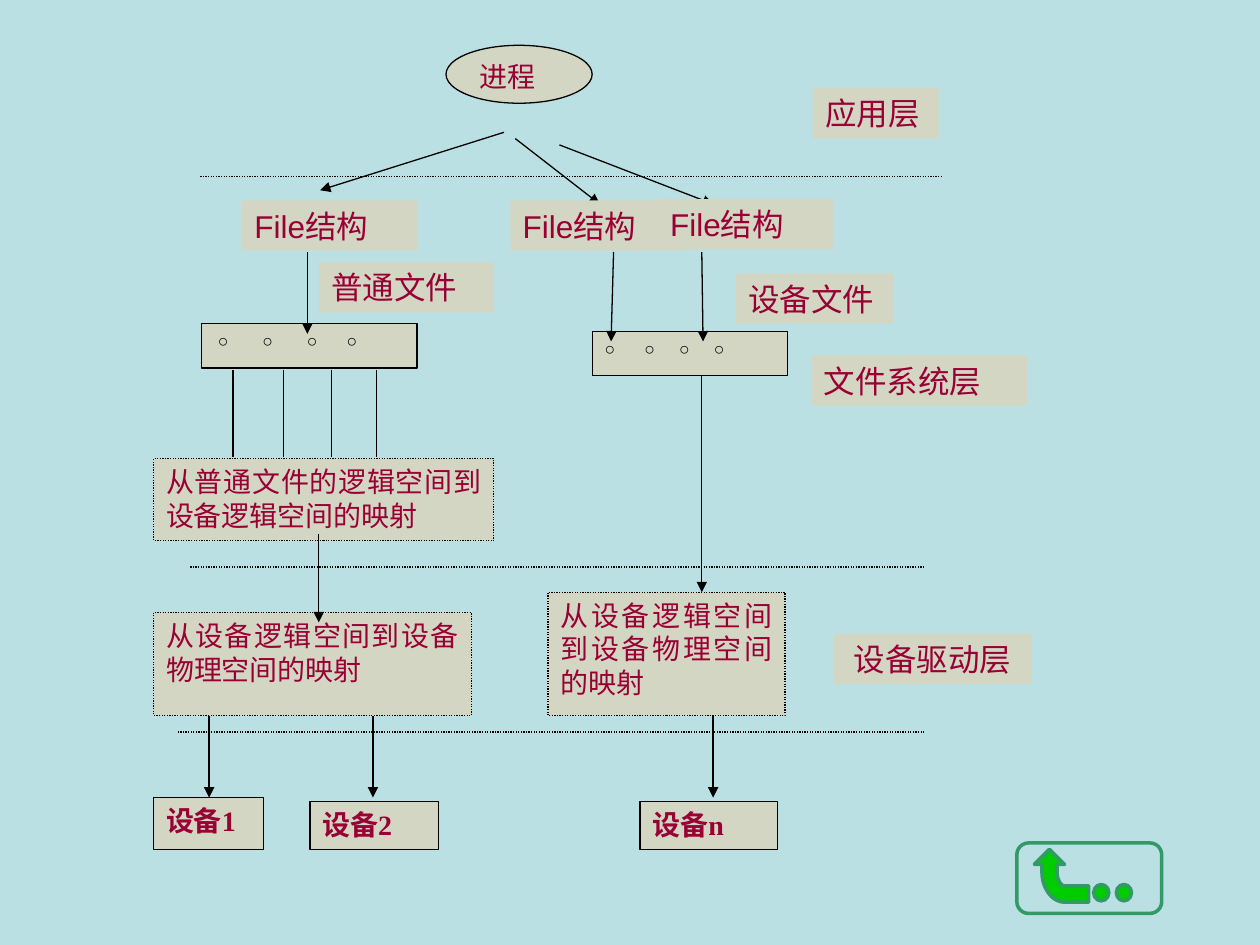
from lxml.etree import SubElement
from pptx import Presentation
from pptx.dml.color import RGBColor
from pptx.enum.dml import MSO_LINE
from pptx.enum.shapes import MSO_CONNECTOR, MSO_SHAPE
from pptx.enum.text import MSO_ANCHOR, PP_ALIGN
from pptx.oxml.ns import qn
from pptx.util import Inches, Pt

BACKGROUND, PANEL, INK, BLACK = "BBE0E3", "D4D6C4", "990033", "000000"
GREEN, EDGE = "00CC00", "339966"
CJK, SANS, SERIF = "Noto Sans CJK SC", "Arial", "Times New Roman"

DIVIDERS = [(1.59, 1.4, 7.48, 1.4), (1.51, 4.5, 7.34, 4.5), (1.41, 5.81, 7.34, 5.81)]
PROCESS_ARROWS = [(4, 1.05, 2.54, 1.51), (4.09, 1.1, 4.76, 1.62), (4.44, 1.15, 5.66, 1.62)]
INODE_TABLES = [
    ((1.6, 2.57, 1.71, 0.35), 0.03, (16.7, 16.7, 13.9)),
    ((4.7, 2.63, 1.55, 0.35), 0, (13.9, 11.1, 11.1)),
]
MAPPINGS = [
    ("从普通文件的逻辑空间到设备逻辑空间的映射", (1.22, 3.64, 2.7, 0.65)),
    ("从设备逻辑空间到设备物理空间的映射", (1.22, 4.86, 2.52, 0.82)),
    ("从设备逻辑空间到设备物理空间的映射", (4.35, 4.7, 1.88, 0.98)),
]
DEVICES = [
    ("设备1", (1.22, 6.33, 0.87, 0.41)),
    ("设备2", (2.46, 6.36, 1.02, 0.38)),
    ("设备n", (5.08, 6.36, 1.09, 0.38)),
]
BLOCK_LINES = [(x, 2.94, x, 3.63) for x in (1.85, 2.25, 2.63, 2.99)]
FLOW_ARROWS = [
    (4.87, 2, 4.85, 2.71), (5.57, 2, 5.58, 2.71), (2.44, 2, 2.44, 2.65),
    (2.53, 4.24, 2.53, 4.94), (5.57, 2.98, 5.57, 4.7),
] + [(x, 5.68, x, 6.33) for x in (1.66, 2.96, 5.66)]
LABELS = [
    ("File结构", (1.92, 1.59, 1.39, 0.4)),
    ("File结构", (4.05, 1.59, 1.39, 0.4)),
    ("File结构", (5.22, 1.58, 1.39, 0.4)),
    ("普通文件", (2.53, 2.08, 1.39, 0.4)),
    ("文件系统层", (6.44, 2.82, 1.71, 0.4)),
    ("设备文件", (5.84, 2.17, 1.25, 0.4)),
    (" 设备驱动层", (6.62, 5.03, 1.57, 0.4)),
    ("应用层", (6.45, 0.7, 1, 0.4)),
]
OUTER_BEND = [(8.27, 6.92), (8.27, 7.05), (8.35, 7.16), (8.45, 7.16)]
INNER_BEND = [(8.45, 7.03), (8.42, 7.03), (8.39, 6.98), (8.39, 6.92)]


def rgb(value):
    """Turn a hex string into a colour."""
    return RGBColor.from_string(value)


def style(sp, fill, line, width=0.75, dash=None):
    """Set fill and outline, leaving out whichever is None."""
    sp.shadow.inherit = False
    if fill:
        sp.fill.solid()
        sp.fill.fore_color.rgb = rgb(fill)
    else:
        sp.fill.background()
    if line:
        sp.line.color.rgb = rgb(line)
        sp.line.width = Pt(width)
        if dash:
            sp.line.dash_style = dash
    else:
        sp.line.fill.background()


def add_shape(s, kind, box, fill=PANEL, line=BLACK, width=0.75, dash=None):
    """Add a styled preset shape."""
    sp = s.shapes.add_shape(kind, *map(Inches, box))
    style(sp, fill, line, width, dash)
    return sp


def add_text(p, text, size, font, color, bold=False):
    """Add a formatted run to a paragraph."""
    r = p.add_run()
    r.text = text
    r.font.size, r.font.name, r.font.bold = Pt(size), font, bold
    r.font.color.rgb = rgb(color)
    SubElement(r.font._element, qn("a:ea"), typeface=CJK)
    return r


def first_paragraph(sp, align=PP_ALIGN.JUSTIFY, anchor=MSO_ANCHOR.TOP):
    """Prepare a shape for text and return its paragraph."""
    tf = sp.text_frame
    tf.word_wrap = True
    tf.vertical_anchor = anchor
    p = tf.paragraphs[0]
    p.alignment = align
    return p


def add_line(s, ends, arrow=False, dash=None):
    """Add a thin black line, optionally with an arrowhead or dashes."""
    c = s.shapes.add_connector(MSO_CONNECTOR.STRAIGHT, *map(Inches, ends))
    c.line.color.rgb = rgb(BLACK)
    c.line.width = Pt(0.75)
    if dash:
        c.line.dash_style = dash
    if arrow:
        SubElement(c.line._get_or_add_ln(), qn("a:tailEnd"), type="triangle")
    SubElement(c._element.spPr, qn("a:effectLst"))


def add_inode_table(s, box, margin, gaps):
    """Add a box with a row of circles, widening each space by its gap in points."""
    p = first_paragraph(add_shape(s, MSO_SHAPE.RECTANGLE, box), PP_ALIGN.LEFT)
    pPr = p._p.get_or_add_pPr()
    pPr.set("marL", str(Inches(margin)))
    pPr.set("indent", "0")
    add_text(p, "○", 10, SANS, BLACK)
    for gap in gaps:
        r = add_text(p, " ", 10, SANS, BLACK)
        r.font._element.set("spc", str(round(gap * 100)))
        add_text(p, "○", 10, SANS, BLACK)


def bend(points, steps=10):
    """Sample a cubic curve."""
    ts = [i / steps for i in range(steps + 1)]
    weights = [((1 - t) ** 3, 3 * t * (1 - t) ** 2, 3 * t * t * (1 - t), t ** 3) for t in ts]
    return [tuple(sum(k * pt[axis] for k, pt in zip(w, points)) for axis in (0, 1))
            for w in weights]


def add_return_button(s):
    """Draw the return arrow, its dots and their frame."""
    outline = [(8.33, 6.74), (8.21, 6.86), (8.27, 6.86), *bend(OUTER_BEND), (8.64, 7.16),
               (8.64, 7.03), *bend(INNER_BEND), (8.39, 6.86), (8.45, 6.86)]
    points = [(Inches(x), Inches(y)) for x, y in outline]
    fb = s.shapes.build_freeform(*points[0])
    fb.add_line_segments(points[1:], close=True)
    style(fb.convert_to_shape(), GREEN, EDGE, 2)
    for x in (8.68, 8.86):
        add_shape(s, MSO_SHAPE.OVAL, (x, 7.02, 0.12, 0.13), GREEN, EDGE, 2)
    add_shape(s, MSO_SHAPE.ROUNDED_RECTANGLE, (8.07, 6.69, 1.15, 0.56), None, EDGE, 2)


def main():
    """Build the slide."""
    prs = Presentation()
    prs.slide_width, prs.slide_height = Inches(10), Inches(7.5)
    s = prs.slides.add_slide(prs.slide_layouts[6])
    s.background.fill.solid()
    s.background.fill.fore_color.rgb = rgb(BACKGROUND)

    add_return_button(s)
    for ends in DIVIDERS:
        add_line(s, ends, dash=MSO_LINE.ROUND_DOT)
    for ends in PROCESS_ARROWS:
        add_line(s, ends, arrow=True)
    for table in INODE_TABLES:
        add_inode_table(s, *table)
    for text, box in MAPPINGS:
        sp = add_shape(s, MSO_SHAPE.RECTANGLE, box, dash=MSO_LINE.ROUND_DOT)
        add_text(first_paragraph(sp), text, 16, CJK, INK)
    for text, box in DEVICES:
        sp = add_shape(s, MSO_SHAPE.RECTANGLE, box)
        add_text(first_paragraph(sp), text, 16, SERIF, INK, bold=True)
    sp = add_shape(s, MSO_SHAPE.OVAL, (3.54, 0.36, 1.16, 0.46))
    add_text(first_paragraph(sp), "进程", 16, CJK, INK)
    for ends in BLOCK_LINES:
        add_line(s, ends)
    for ends in FLOW_ARROWS:
        add_line(s, ends, arrow=True)
    for text, box in LABELS:
        sp = add_shape(s, MSO_SHAPE.RECTANGLE, box, line=None)
        p = first_paragraph(sp, PP_ALIGN.LEFT, MSO_ANCHOR.MIDDLE)
        add_text(p, text, 18, SANS, INK)
    prs.save("out.pptx")


if __name__ == "__main__":
    main()
